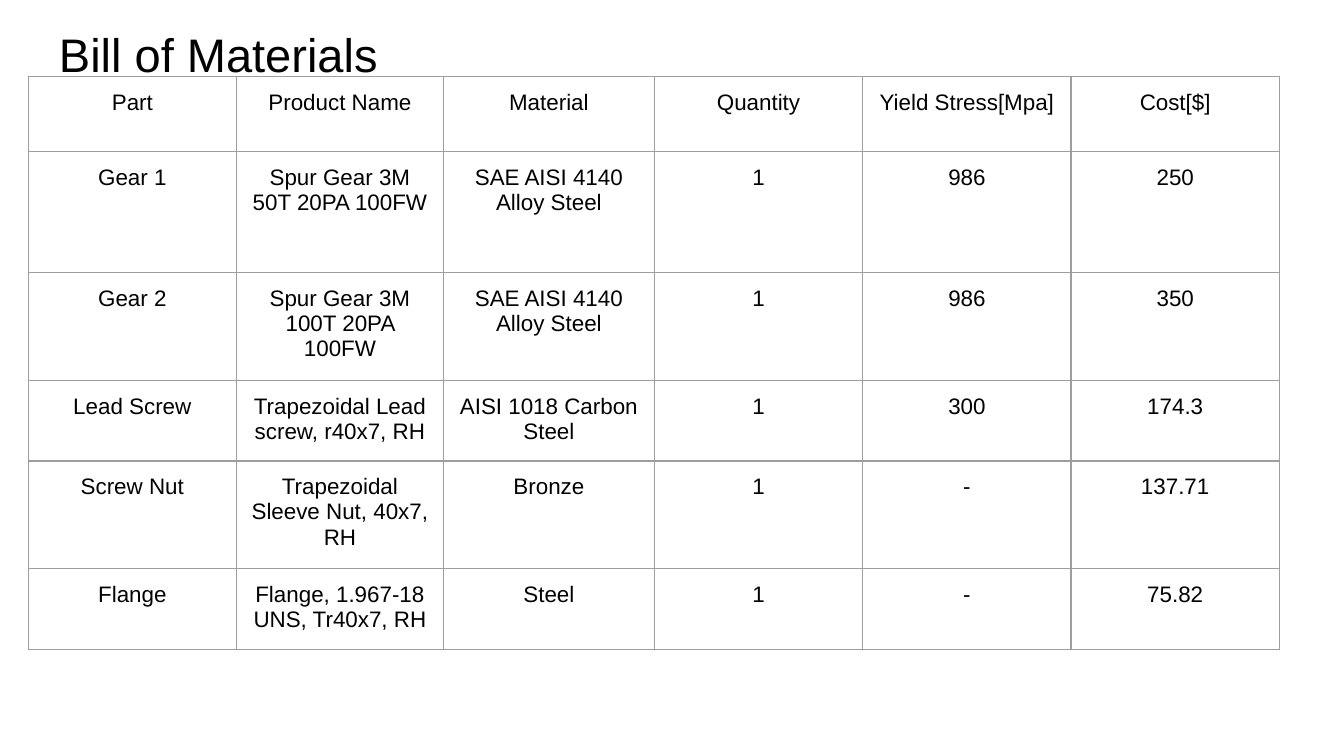
from lxml import etree
from pptx import Presentation
from pptx.dml.color import RGBColor
from pptx.enum import text
from pptx.oxml.ns import qn
from pptx.util import Inches, Pt

BLACK = RGBColor(0x00, 0x00, 0x00)
GRID_GRAY = RGBColor(0x9E, 0x9E, 0x9E)
FONT = "Arial"
INSET = Inches(0.1)

COLUMN_WIDTHS = [1.55, 1.54, 1.57, 1.55, 1.55, 1.55]
ROW_HEIGHTS = [0.56, 0.9, 0.78, 0.56, 0.75, 0.56]
MATERIALS = [
    ["Part", "Product Name", "Material", "Quantity", "Yield Stress[Mpa]", "Cost[$]"],
    ["Gear 1", "Spur Gear 3M\n50T 20PA 100FW", "SAE AISI 4140\nAlloy Steel", "1", "986", "250"],
    ["Gear 2", "Spur Gear 3M\n100T 20PA 100FW", "SAE AISI 4140\nAlloy Steel", "1", "986", "350"],
    ["Lead Screw", "Trapezoidal Lead screw, r40x7, RH", "AISI 1018 Carbon Steel", "1", "300", "174.3"],
    ["Screw Nut", "Trapezoidal Sleeve Nut, 40x7, RH", "Bronze", "1", "-", "137.71"],
    ["Flange", "Flange, 1.967-18 UNS, Tr40x7, RH", "Steel", "1", "-", "75.82"],
]


def write(holder, words, size, align=text.PP_ALIGN.LEFT, anchor=text.MSO_ANCHOR.TOP):
    """Fill a text frame or a table cell; each line of words is a paragraph."""
    holder.margin_left = holder.margin_right = INSET
    holder.margin_top = holder.margin_bottom = INSET
    holder.vertical_anchor = anchor
    holder.word_wrap = True
    frame = getattr(holder, "text_frame", holder)
    frame.text = words
    for paragraph in frame.paragraphs:
        paragraph.alignment = align
        paragraph.line_spacing = 1.0
        for run in paragraph.runs:
            run.font.name = FONT
            run.font.size = Pt(size)
            run.font.color.rgb = BLACK


def outline(cell, color, width):
    """Draw all four borders; they must precede the cell's fill."""
    properties = cell._tc.get_or_add_tcPr()
    for side in ("a:lnL", "a:lnR", "a:lnT", "a:lnB"):
        line = etree.SubElement(properties, qn(side), w=str(Pt(width)))
        fill = etree.SubElement(line, qn("a:solidFill"))
        etree.SubElement(fill, qn("a:srgbClr"), val=str(color))


def add_title(slide, left, top, width, height):
    title = slide.shapes.add_textbox(Inches(left), Inches(top), Inches(width), Inches(height))
    write(title.text_frame, "Bill of Materials", 25.2, anchor=text.MSO_ANCHOR.BOTTOM)


def add_materials_table(slide, left, top):
    table = slide.shapes.add_table(
        len(MATERIALS), len(COLUMN_WIDTHS), Inches(left), Inches(top),
        Inches(sum(COLUMN_WIDTHS)), Inches(sum(ROW_HEIGHTS))).table
    table.first_row = table.horz_banding = False
    for column, width in zip(table.columns, COLUMN_WIDTHS):
        column.width = Inches(width)
    for row, height, entries in zip(table.rows, ROW_HEIGHTS, MATERIALS):
        row.height = Inches(height)
        for cell, entry in zip(row.cells, entries):
            write(cell, entry, 12, align=text.PP_ALIGN.CENTER)
            outline(cell, GRID_GRAY, 0.75)
            cell.fill.background()


def main():
    deck = Presentation()
    deck.slide_width = Inches(10)
    deck.slide_height = deck.slide_width * 9 // 16
    slide = deck.slides.add_slide(deck.slide_layouts[6])
    add_title(slide, 0.34, 0.08, 9.32, 0.63)
    add_materials_table(slide, 0.21, 0.57)
    deck.save("out.pptx")


if __name__ == "__main__":
    main()
